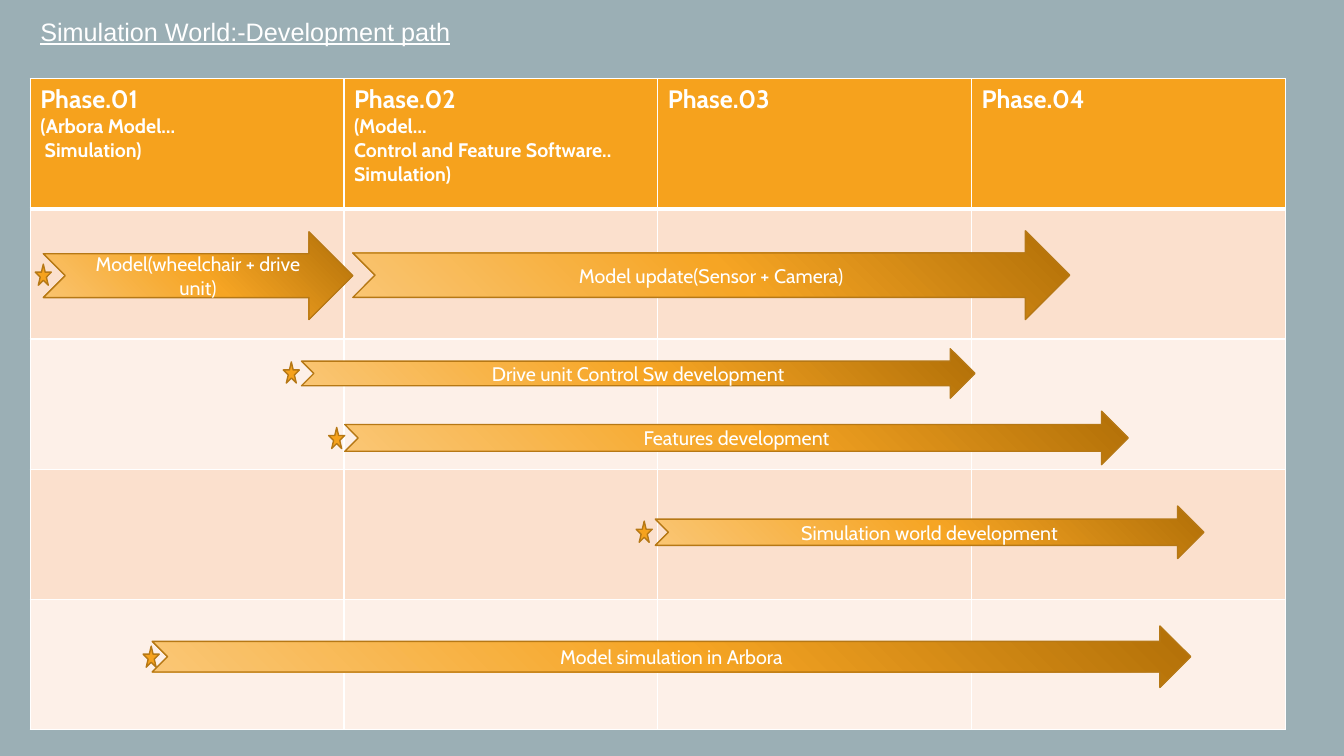
"""Builds the simulation world development path slide."""
import copy

import pptx
import pptx.dml.color
import pptx.enum.shapes
import pptx.enum.text
import pptx.oxml
import pptx.oxml.ns
import pptx.util
from pptx.util import Inches

COLORS = {
    "background": "9BAFB5",
    "white": "FFFFFF",
    "orange": "F6A21D",
    "outline": "B67815",
    "band_dark": "FBE0CD",
    "band_light": "FDF0E8",
}
ARROW_GRADIENT = [(0, "B16F07"), (48, "F6A524"), (100, "FAC777")]
PHASES = [
    ["Phase.01", "(Arbora Model…", " Simulation)"],
    ["Phase.02", "(Model…", "Control and Feature Software..", "Simulation)"],
    ["Phase.03"],
    ["Phase.04"],
]
TABLE_ROWS = 5
ARROWS = [
    ("Model simulation in Arbora", 1.51, 6.21, 10.3, 0.61),
    ("Model(wheelchair + drive unit)", 0.43, 2.3, 3.07, 0.87),
    ("Drive unit Control Sw development", 2.99, 3.46, 6.68, 0.49),
    ("Features development", 3.42, 4.08, 7.77, 0.53),
    ("Model update(Sensor + Camera)", 3.5, 2.29, 7.11, 0.88),
    ("Simulation world development", 6.5, 5.02, 5.44, 0.52),
]
STARS = [(0.35, 2.62), (2.81, 3.59), (3.26, 4.24), (6.31, 5.17), (1.42, 6.41)]


def rgb(name):
    return pptx.dml.color.RGBColor.from_string(COLORS[name])


def write_text(paragraph, text, size=14, font="Cabin", bold=False,
               underline=False, align="LEFT"):
    paragraph.alignment = getattr(pptx.enum.text.PP_ALIGN, align)
    run = paragraph.add_run()
    run.text = text
    run.font.name = font
    run.font.size = pptx.util.Pt(size)
    run.font.bold = bold
    run.font.underline = underline
    run.font.color.rgb = rgb("white")


def add_title(slide, text):
    title = slide.shapes.title
    title.left, title.top = Inches(0.3), Inches(0.11)
    title.width, title.height = Inches(5.03), Inches(0.4)
    frame = title.text_frame
    frame.auto_size = pptx.enum.text.MSO_AUTO_SIZE.NONE
    frame.vertical_anchor = pptx.enum.text.MSO_ANCHOR.TOP
    frame.word_wrap = True
    write_text(frame.paragraphs[0], text, size=18, font="Arial", underline=True)


def set_borders(cell, bottom):
    properties = cell._tc.get_or_add_tcPr()
    widths = {"lnL": 1, "lnR": 1, "lnT": 1, "lnB": bottom}
    for index, (tag, width) in enumerate(widths.items()):
        properties.insert(index, pptx.oxml.parse_xml(
            f'<a:{tag} {pptx.oxml.ns.nsdecls("a")} w="{pptx.util.Pt(width)}">'
            f'<a:solidFill><a:srgbClr val="{COLORS["white"]}"/></a:solidFill>'
            f'</a:{tag}>'))


def add_phase_table(slide):
    table = slide.shapes.add_table(
        TABLE_ROWS, len(PHASES), Inches(0.3), Inches(0.78),
        Inches(12.45), Inches(6.46)).table
    for row in range(TABLE_ROWS):
        band = "band_dark" if row % 2 else "band_light"
        for column in range(len(PHASES)):
            cell = table.cell(row, column)
            cell.fill.solid()
            cell.fill.fore_color.rgb = rgb(band if row else "orange")
            set_borders(cell, bottom=1 if row else 3)
    for column, lines in enumerate(PHASES):
        frame = table.cell(0, column).text_frame
        for index, line in enumerate(lines):
            paragraph = frame.add_paragraph() if index else frame.paragraphs[0]
            write_text(paragraph, line, size=14 if index else 18, bold=True)


def add_outlined_shape(slide, kind, left, top, width, height):
    shape = slide.shapes.add_shape(
        getattr(pptx.enum.shapes.MSO_SHAPE, kind),
        Inches(left), Inches(top), Inches(width), Inches(height))
    shape.shadow.inherit = False
    shape.line.color.rgb = rgb("outline")
    shape.line.width = pptx.util.Pt(1)
    return shape


def fill_gradient(shape):
    shape.fill.gradient()
    shape.fill.gradient_angle = 225
    stop_list = shape._element.spPr.find(".//" + pptx.oxml.ns.qn("a:gsLst"))
    stop_list.append(copy.deepcopy(stop_list[-1]))
    for stop, (position, color) in zip(shape.fill.gradient_stops, ARROW_GRADIENT):
        stop.position = position / 100
        stop.color.rgb = pptx.dml.color.RGBColor.from_string(color)


def add_arrow(slide, text, left, top, width, height):
    arrow = add_outlined_shape(slide, "NOTCHED_RIGHT_ARROW", left, top, width, height)
    fill_gradient(arrow)
    arrow.text_frame.vertical_anchor = pptx.enum.text.MSO_ANCHOR.MIDDLE
    write_text(arrow.text_frame.paragraphs[0], text, align="CENTER")


def add_star(slide, left, top):
    star = add_outlined_shape(slide, "STAR_5_POINT", left, top, 0.16, 0.21)
    star.fill.solid()
    star.fill.fore_color.rgb = rgb("orange")


def main():
    presentation = pptx.Presentation()
    presentation.slide_width = Inches(13.33)
    presentation.slide_height = Inches(7.5)
    slide = presentation.slides.add_slide(presentation.slide_layouts[5])
    slide.background.fill.solid()
    slide.background.fill.fore_color.rgb = rgb("background")
    add_title(slide, "Simulation World:-Development path")
    add_phase_table(slide)
    for arrow in ARROWS:
        add_arrow(slide, *arrow)
    for star in STARS:
        add_star(slide, *star)
    presentation.save("out.pptx")


if __name__ == "__main__":
    main()
